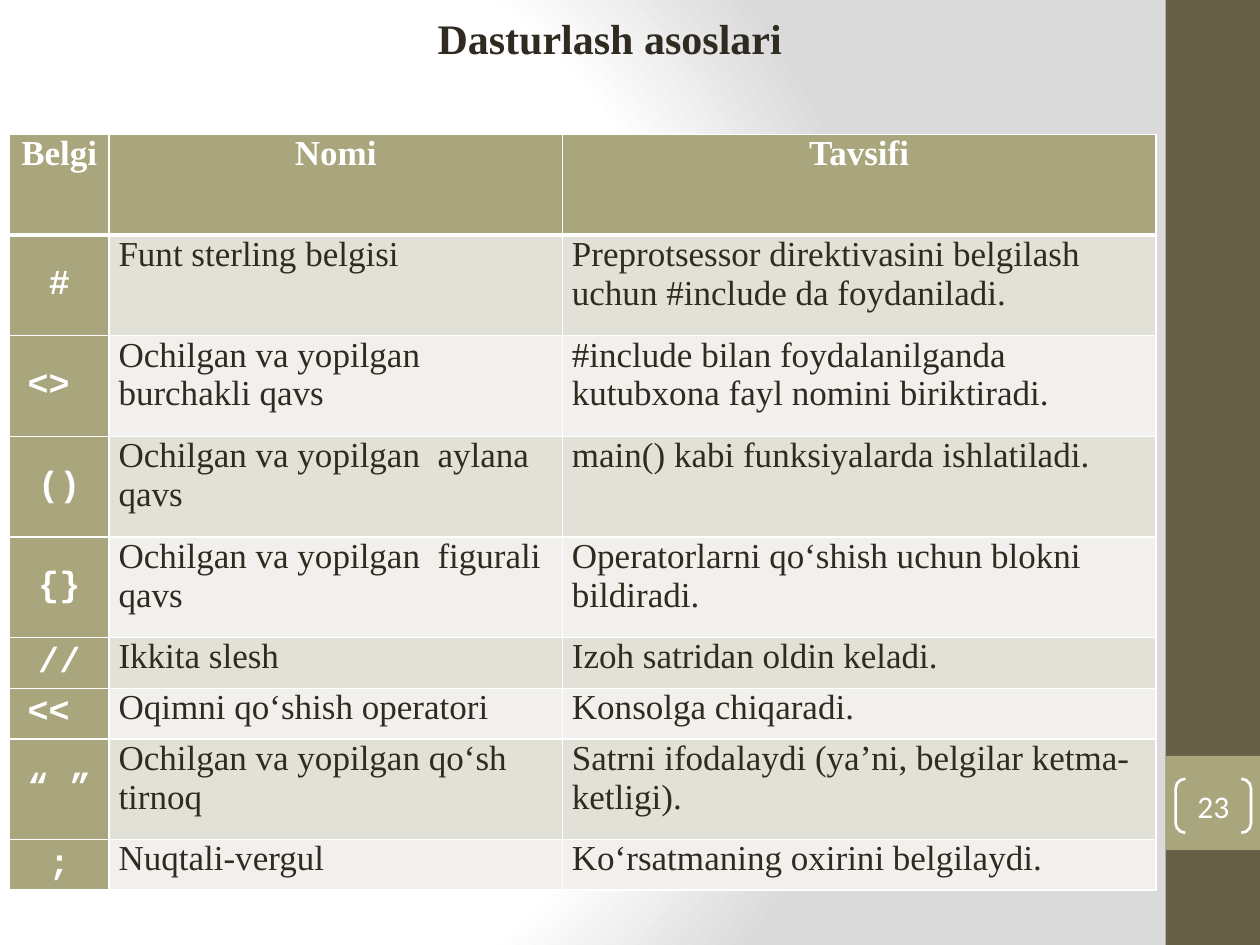
"""Build the slide that lists C++ symbols with their names and meanings."""
from pptx import Presentation, util as u
from pptx.dml.color import RGBColor
from pptx.enum import shapes, text
from pptx.oxml import parse_xml
from pptx.oxml.ns import nsdecls

SERIF, MONO = "Times New Roman", "Courier New"
WHITE, INK, OLIVE, BROWN = "FFFFFF", "2F2B20", "A9A57C", "675E47"
BANDS = ("E2E1D7", "F1F0EC")
MIDDLE, TOP = text.MSO_ANCHOR.MIDDLE, text.MSO_ANCHOR.TOP
CENTER, LEFT = text.PP_ALIGN.CENTER, text.PP_ALIGN.LEFT

ROWS = [
    ("Belgi", "Nomi", "Tavsifi", 2.03),
    ("#", "Funt sterling belgisi", "Preprotsessor direktivasini belgilash uchun #include da foydaniladi.", 2.03),
    ("<>\N{NO-BREAK SPACE}", "Ochilgan va yopilgan burchakli qavs",
     "#include bilan foydalanilganda kutubxona fayl nomini biriktiradi.", 2.03),
    ("()", "Ochilgan va yopilgan  aylana qavs", "main() kabi funksiyalarda ishlatiladi.", 2.03),
    ("{}", "Ochilgan va yopilgan  figurali qavs", "Operatorlarni qo‘shish uchun blokni bildiradi.", 2.03),
    ("//", "Ikkita slesh", "Izoh satridan oldin keladi.", 1.02),
    ("<<\N{NO-BREAK SPACE}", "Oqimni qo‘shish operatori", "Konsolga chiqaradi.", 1.02),
    ("“ ”", "Ochilgan va yopilgan qo‘sh tirnoq", "Satrni ifodalaydi (ya’ni, belgilar ketma-ketligi).", 2.03),
    (";", "Nuqtali-vergul", "Ko‘rsatmaning oxirini belgilaydi.", 1.02),
]


def color(value):
    return RGBColor.from_string(value)


def write(frame, words, ink, align, **formats):
    para = frame.paragraphs[0]
    para.alignment = align
    span = para.add_run()
    span.text = words
    span.font.color.rgb = color(ink)
    for name, value in formats.items():
        setattr(span.font, name, value)


deck = Presentation()
deck.slide_width, deck.slide_height = u.Cm(25.4), u.Cm(19.05)
page = deck.slides.add_slide(deck.slide_layouts[5])

stops = "".join(
    f'<a:gs pos="{place}"><a:srgbClr val="{tint}"/></a:gs>'
    for place, tint in ((0, WHITE), (75000, WHITE), (100000, "DADADA"))
)
page.element.cSld.insert(0, parse_xml(
    f'<p:bg {nsdecls("p", "a")}><p:bgPr><a:gradFill rotWithShape="1"><a:gsLst>{stops}</a:gsLst>'
    '<a:path path="circle"><a:fillToRect l="20000" t="50000" r="100000" b="50000"/></a:path>'
    '</a:gradFill><a:effectLst/></p:bgPr></p:bg>'
))

title = page.shapes.title
title.left, title.top, title.width, title.height = u.Cm(8.53), u.Cm(0.13), u.Cm(7.52), u.Cm(1.27)
title_format = {"word_wrap": False, "auto_size": text.MSO_AUTO_SIZE.SHAPE_TO_FIT_TEXT, "vertical_anchor": TOP}
for name, value in title_format.items():
    setattr(title.text_frame, name, value)
write(title.text_frame, "Dasturlash asoslari", INK, CENTER, name=SERIF, size=u.Pt(24), bold=True)

for top, height, tint in ((0, 19.05, BROWN), (15.24, 1.9, OLIVE)):
    band = page.shapes.add_shape(
        shapes.MSO_SHAPE.RECTANGLE, u.Cm(23.5), u.Cm(top), u.Cm(1.9), u.Cm(height))
    band.shadow.inherit = False
    band.fill.solid()
    band.fill.fore_color.rgb = color(tint)
    band.line.fill.background()

number = page.shapes.add_shape(
    shapes.MSO_SHAPE.DOUBLE_BRACKET, u.Cm(23.7), u.Cm(15.7), u.Cm(1.52), u.Cm(1.09))
number.adjustments[0] = 0.18
number.shadow.inherit = False
number.fill.background()
number.line.color.rgb = color(WHITE)
number.line.width = u.Pt(1.5)
number_format = {"margin_left": 0, "margin_right": 0, "margin_top": 0, "margin_bottom": 0,
                 "vertical_anchor": MIDDLE}
for name, value in number_format.items():
    setattr(number.text_frame, name, value)
write(number.text_frame, "23", WHITE, CENTER, name="Calibri", size=u.Pt(18))

table = page.shapes.add_table(
    len(ROWS), 3, u.Cm(0.19), u.Cm(2.71), u.Cm(23.11), u.Cm(15.24)).table
for column, width in zip(table.columns, (2.01, 9.14, 11.96)):
    column.width = u.Cm(width)

for row, (*entries, height) in enumerate(ROWS):
    table.rows[row].height = u.Cm(height)
    for column, words in enumerate(entries):
        cell = table.cell(row, column)
        header, symbol = row == 0, row > 0 and column == 0
        strong = header or symbol
        cell_format = {"margin_left": u.Cm(0.19), "margin_right": u.Cm(0.19), "margin_top": 0,
                       "margin_bottom": 0, "vertical_anchor": MIDDLE if symbol else TOP}
        for name, value in cell_format.items():
            setattr(cell, name, value)
        write(cell.text_frame, words, WHITE if strong else INK, CENTER if strong else LEFT,
              name=MONO if symbol else SERIF, size=u.Pt(20), bold=strong)
        cell.fill.solid()
        cell.fill.fore_color.rgb = color(OLIVE if strong else BANDS[(row - 1) % 2])
        edges = {"L": 1, "R": 1, "T": 3 if row == 1 else 1, "B": 3 if header else 1}
        for place, (side, points) in enumerate(edges.items()):
            cell._tc.get_or_add_tcPr().insert(place, parse_xml(
                f'<a:ln{side} {nsdecls("a")} w="{u.Pt(points)}"><a:solidFill>'
                f'<a:srgbClr val="{WHITE}"/></a:solidFill></a:ln{side}>'))

deck.save("out.pptx")
